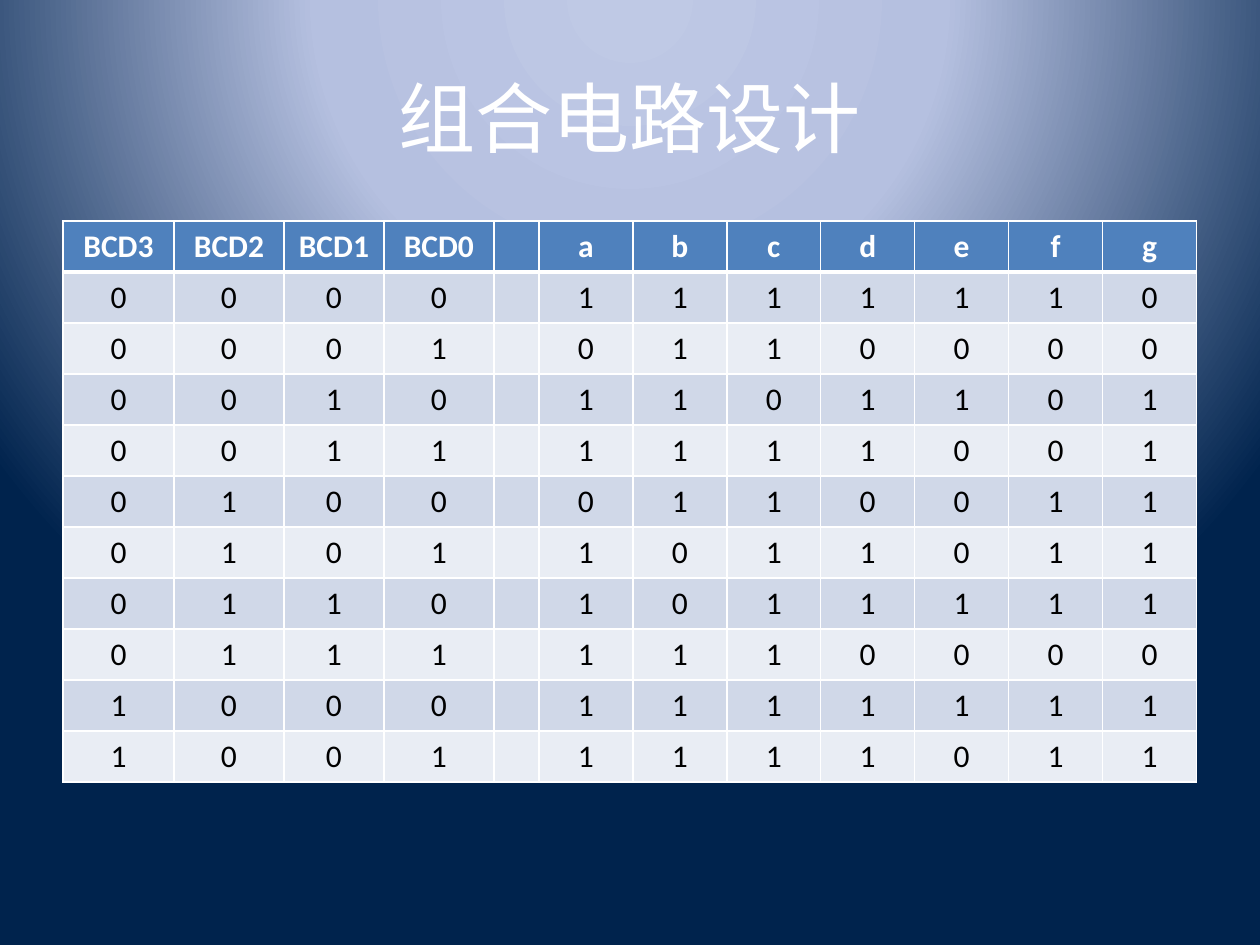
"""Build the truth table slide for a BCD to seven-segment decoder."""
from dataclasses import dataclass

from lxml import etree
from pptx import Presentation
from pptx.dml.color import RGBColor
from pptx.enum.text import MSO_ANCHOR, PP_ALIGN
from pptx.oxml import parse_xml
from pptx.oxml.ns import nsdecls, qn
from pptx.util import Pt

CENTER = PP_ALIGN.CENTER
MIDDLE = MSO_ANCHOR.MIDDLE
PX = 914400 // 126


@dataclass(frozen=True)
class Theme:
    font: str = "Calibri"
    title_size: int = 44
    cell_size: int = 18
    white: str = "FFFFFF"
    black: str = "000000"
    header: str = "4F81BD"
    bands: tuple = ("D0D8E8", "E9EDF4")
    glow: tuple = ((0, "BFC9E5"), (40, "B5C0E0"), (100, "00234D"))


THEME = Theme()
HEADERS = ["BCD3", "BCD2", "BCD1", "BCD0", "", *"abcdefg"]
SEGMENTS = ["1111110", "0110000", "1101101", "1111001", "0110011",
            "1011011", "1011111", "1110000", "1111111", "1111011"]
COL_WIDTHS = [111, 110, 100, 110, 45] + [94] * 7
ROW_HEIGHT = 51


def style_text(p, size, color, bold=False):
    p.alignment = CENTER
    p.font.name = THEME.font
    p.font.size = Pt(size)
    p.font.bold = bold
    p.font.color.rgb = RGBColor.from_string(color)


def add_border(cell, side, points):
    ln = etree.SubElement(cell._tc.get_or_add_tcPr(), qn(f"a:ln{side}"), w=str(Pt(points)))
    fill = etree.SubElement(ln, qn("a:solidFill"))
    etree.SubElement(fill, qn("a:srgbClr"), val=THEME.white)


prs = Presentation()
prs.slide_width, prs.slide_height = 1260 * PX, 945 * PX
s = prs.slides.add_slide(prs.slide_layouts[6])

stops = "".join(f'<a:gs pos="{pos * 1000}"><a:srgbClr val="{color}"/></a:gs>'
                for pos, color in THEME.glow)
s._element.cSld.insert(0, parse_xml(
    f'<p:bg {nsdecls("p", "a")}><p:bgPr><a:gradFill rotWithShape="1">'
    f'<a:gsLst>{stops}</a:gsLst><a:path path="circle">'
    '<a:fillToRect l="50000" t="-80000" r="50000" b="180000"/></a:path>'
    '</a:gradFill><a:effectLst/></p:bgPr></p:bg>'))

title = s.shapes.add_textbox(63 * PX, 38 * PX, 1134 * PX, 157 * PX)
tf = title.text_frame
tf.word_wrap = True
tf.vertical_anchor = MIDDLE
p = tf.paragraphs[0]
p.text = "组合电路设计"
style_text(p, THEME.title_size, THEME.white)

rows = [HEADERS] + [[*f"{digit:04b}", "", *segments]
                    for digit, segments in enumerate(SEGMENTS)]
table = s.shapes.add_table(len(rows), len(HEADERS), 63 * PX, 221 * PX,
                           sum(COL_WIDTHS) * PX, len(rows) * ROW_HEIGHT * PX).table
for column, width in zip(table.columns, COL_WIDTHS):
    column.width = width * PX

for i, values in enumerate(rows):
    table.rows[i].height = ROW_HEIGHT * PX
    is_header = i == 0
    fill = THEME.header if is_header else THEME.bands[(i - 1) % 2]
    color = THEME.white if is_header else THEME.black
    for j, value in enumerate(values):
        cell = table.cell(i, j)
        p = cell.text_frame.paragraphs[0]
        p.text = value
        style_text(p, THEME.cell_size, color, is_header)
        for side, points in (("L", 1), ("R", 1), ("T", 3 if i == 1 else 1),
                             ("B", 3 if is_header else 1)):
            add_border(cell, side, points)
        cell.fill.solid()
        cell.fill.fore_color.rgb = RGBColor.from_string(fill)

prs.save("out.pptx")
